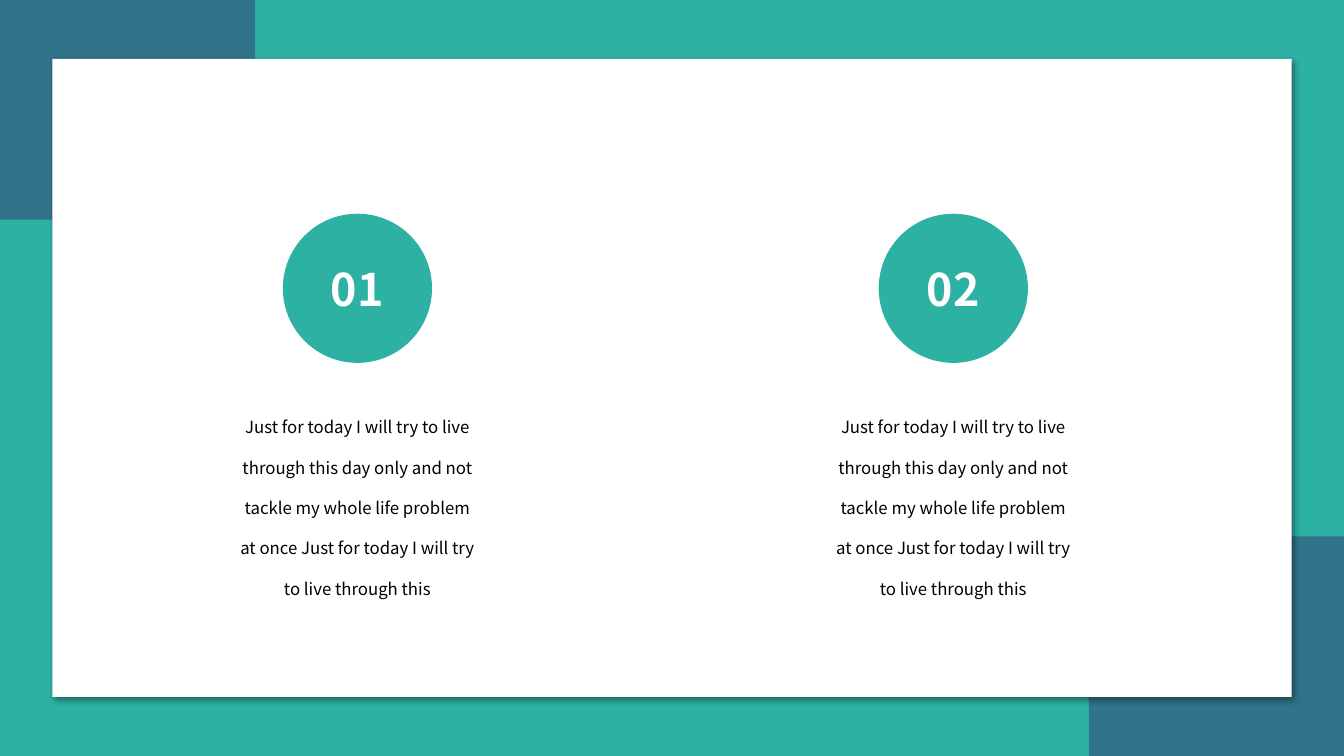
from lxml import etree
from pptx import Presentation
from pptx.dml.color import RGBColor
from pptx.enum.shapes import MSO_SHAPE as Shape
from pptx.enum.text import MSO_ANCHOR as Anchor, PP_ALIGN as Align
from pptx.oxml.ns import qn
from pptx.util import Inches, Pt

WIDTH, HEIGHT = 13.33, 7.5
TEAL, BLUE, WHITE, BLACK = "2DB1A3", "31738B", "FFFFFF", "000000"
FONT = "Noto Sans CJK SC"
MESSAGE = ("Just for today I will try to live through this day only and not "
           "tackle my whole life problem at once Just for today I will try "
           "to live through this")
NUMBER_STYLE = {"name": FONT, "size": Pt(32), "bold": True}
MESSAGE_STYLE = {"name": FONT, "size": Pt(12), "bold": False}


def color(value):
    return RGBColor.from_string(value)


def add_block(page, kind, box, fill):
    block = page.shapes.add_shape(kind, *map(Inches, box))
    block.shadow.inherit = False
    block.fill.solid()
    block.fill.fore_color.rgb = color(fill)
    block.line.fill.background()
    return block


def write(shape, text, style, ink, anchor, spacing=1.0):
    frame = shape.text_frame
    frame.word_wrap = True
    frame.vertical_anchor = anchor
    para = frame.paragraphs[0]
    para.alignment = Align.CENTER
    para.line_spacing = spacing
    span = para.add_run()
    span.text = text
    for name, value in style.items():
        setattr(span.font, name, value)
    span.font.color.rgb = color(ink)


def cast_shadow(shape):
    effects = shape.element.spPr.find(qn("a:effectLst"))
    shadow = etree.SubElement(
        effects, qn("a:outerShdw"), blurRad=str(Pt(4)), dist=str(Pt(3)),
        dir=str(45 * 60000), algn="tl", rotWithShape="0")
    tint = etree.SubElement(shadow, qn("a:srgbClr"), val=BLACK)
    etree.SubElement(tint, qn("a:alpha"), val="40000")


def draw_backdrop(page, left, top, width, height):
    page.background.fill.solid()
    page.background.fill.fore_color.rgb = color(TEAL)
    corner_width, corner_height = 2.53, 2.18
    for x, y in ((left, top),
                 (left + width - corner_width, top + height - corner_height)):
        add_block(page, Shape.RECTANGLE,
                  (x, y, corner_width, corner_height), BLUE)
    side, edge = 0.52, 0.585
    card = add_block(page, Shape.RECTANGLE,
                     (left + side, top + edge,
                      width - 2 * side, height - 2 * edge), WHITE)
    cast_shadow(card)


def draw_column(page, left, top, width, number):
    middle = left + width / 2
    message = page.shapes.add_textbox(
        *map(Inches, (left, top + 1.77, width, 2.06)))
    write(message, MESSAGE, MESSAGE_STYLE, BLACK, Anchor.TOP, 2.0)
    disc = 1.48
    add_block(page, Shape.OVAL, (middle - disc / 2, top, disc, disc), TEAL)
    label_width, label_height = 0.84, 0.64
    label = add_block(page, Shape.RECTANGLE,
                      (middle - label_width / 2, top + 0.43,
                       label_width, label_height), TEAL)
    write(label, number, NUMBER_STYLE, WHITE, Anchor.TOP)


def main():
    deck = Presentation()
    deck.slide_width, deck.slide_height = Inches(WIDTH), Inches(HEIGHT)
    page = deck.slides.add_slide(deck.slide_layouts[6])
    draw_backdrop(page, 0, 0, WIDTH, HEIGHT)
    for index, number in enumerate(("01", "02")):
        draw_column(page, 2.24 + index * 5.91, 2.12, 2.61, number)
    deck.save("out.pptx")


if __name__ == "__main__":
    main()
